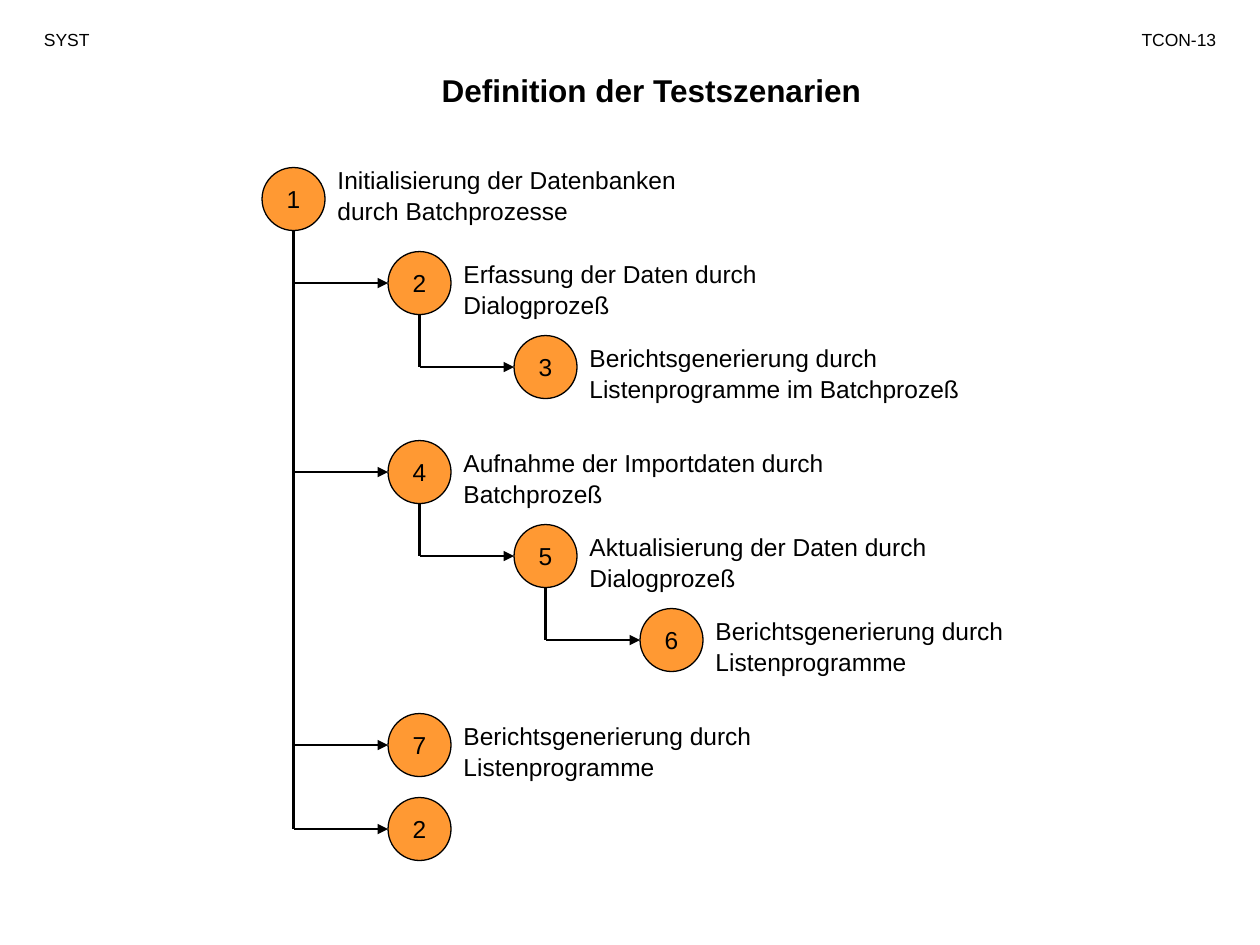
"""Build a slide showing test scenarios as a stepped tree of numbered circles."""
from copy import deepcopy
from dataclasses import dataclass

from lxml.etree import SubElement
from pptx import Presentation
from pptx.dml.color import RGBColor
from pptx.enum.shapes import MSO_CONNECTOR as Connector, MSO_SHAPE as Shape
from pptx.enum.text import MSO_ANCHOR as Anchor, PP_ALIGN as Align
from pptx.oxml.ns import qn
from pptx.util import Inches, Pt

TITLE = ("Definition der Testszenarien", (2.17, 0.5, 6, 0.4))
HEADERS = [
    ("SYST", (0.25, 0.17, 0.92, 0.27), Align.LEFT),
    ("TCON-13", (8.67, 0.17, 1.08, 0.27), Align.RIGHT),
]
# number, level, starts a group, label, label width, label shift
SCENARIOS = [
    ("1", 0, False, "Initialisierung der Datenbanken\vdurch Batchprozesse", 3.08, -0.08),
    ("2", 1, False, "Erfassung der Daten durch\vDialogprozeß", 2.67, 0),
    ("3", 2, False, "Berichtsgenerierung durch\vListenprogramme im Batchprozeß", 3.33, 0),
    ("4", 1, True, "Aufnahme der Importdaten durch\vBatchprozeß", 3.17, 0),
    ("5", 2, False, "Aktualisierung der Daten durch\vDialogprozeß", 3.25, 0),
    ("6", 3, False, "Berichtsgenerierung durch\vListenprogramme", 2.75, 0),
    ("7", 1, True, "Berichtsgenerierung durch\vListenprogramme", 2.75, 0),
    ("2", 1, False, "", 0, 0),
]
LEFT, TOP, INDENT, SIZE = 2.08, 1.33, 1, 0.5
STEP, GROUP_GAP, LABEL_HEIGHT = 2 / 3, 1 / 6, 0.57


@dataclass(frozen=True)
class Theme:
    font: str = "Arial"
    ink: RGBColor = RGBColor(0, 0, 0)
    circle: RGBColor = RGBColor(0xFF, 0x99, 0x33)
    title: int = 18
    header: int = 10
    body: int = 14
    outline: float = 0.75
    line: float = 1.5
    spacing: float = 1.05


THEME = Theme()


def write(frame, text, size, align=Align.LEFT, bold=False, spacing=THEME.spacing):
    frame.text = text
    para = frame.paragraphs[0]
    para.alignment = align
    para.line_spacing = spacing
    for span in para.runs:
        span.font.name = THEME.font
        span.font.size = Pt(size)
        span.font.bold = bold
        span.font.color.rgb = THEME.ink
    for line_break in para._p.findall(qn("a:br")):
        line_break.append(deepcopy(para.runs[0]._r.rPr))


def add_title(slide):
    text, place = TITLE
    title = slide.shapes.title
    title.left, title.top, title.width, title.height = map(Inches, place)
    title.text_frame.vertical_anchor = Anchor.TOP
    title.text_frame.word_wrap = True
    write(title.text_frame, text, THEME.title, Align.CENTER, bold=True)


def add_text(slide, text, place, size, align=Align.LEFT):
    box = slide.shapes.add_textbox(*map(Inches, place))
    box.text_frame.word_wrap = True
    write(box.text_frame, text, size, align)


def add_circle(slide, number, left, top):
    circle = slide.shapes.add_shape(Shape.OVAL, *map(Inches, (left, top, SIZE, SIZE)))
    circle.shadow.inherit = False
    circle.fill.solid()
    circle.fill.fore_color.rgb = THEME.circle
    circle.line.color.rgb = THEME.ink
    circle.line.width = Pt(THEME.outline)
    circle.text_frame.word_wrap = False
    circle.text_frame.vertical_anchor = Anchor.MIDDLE
    write(circle.text_frame, number, THEME.body, Align.CENTER, spacing=1.0)


def add_line(slide, start, end, arrow=False):
    line = slide.shapes.add_connector(Connector.STRAIGHT, *map(Inches, start + end))
    line.line.color.rgb = THEME.ink
    line.line.width = Pt(THEME.line)
    if arrow:
        SubElement(line.line._get_or_add_ln(), qn("a:tailEnd"), type="triangle")
    SubElement(line._element.spPr, qn("a:effectLst"))


def add_tree(slide):
    top = TOP - STEP
    open_parents, trunks = {}, {}
    for number, level, starts_group, label, width, shift in SCENARIOS:
        top += STEP + GROUP_GAP * starts_group
        left = LEFT + level * INDENT
        middle = top + SIZE / 2
        add_circle(slide, number, left, top)
        if label:
            place = (left + SIZE, top + shift, width, LABEL_HEIGHT)
            add_text(slide, label, place, THEME.body)
        if level:
            parent = open_parents[level - 1]
            add_line(slide, (parent[0], middle), (left, middle), arrow=True)
            trunks[parent] = middle
        open_parents[level] = (left + SIZE / 2, top + SIZE)
    for start, bottom in trunks.items():
        add_line(slide, start, (start[0], bottom))


def main():
    deck = Presentation()
    deck.slide_width, deck.slide_height = Inches(10), Inches(7.5)
    slide = deck.slides.add_slide(deck.slide_layouts[5])
    add_title(slide)
    for text, place, align in HEADERS:
        add_text(slide, text, place, THEME.header, align)
    add_tree(slide)
    deck.save("out.pptx")


if __name__ == "__main__":
    main()
